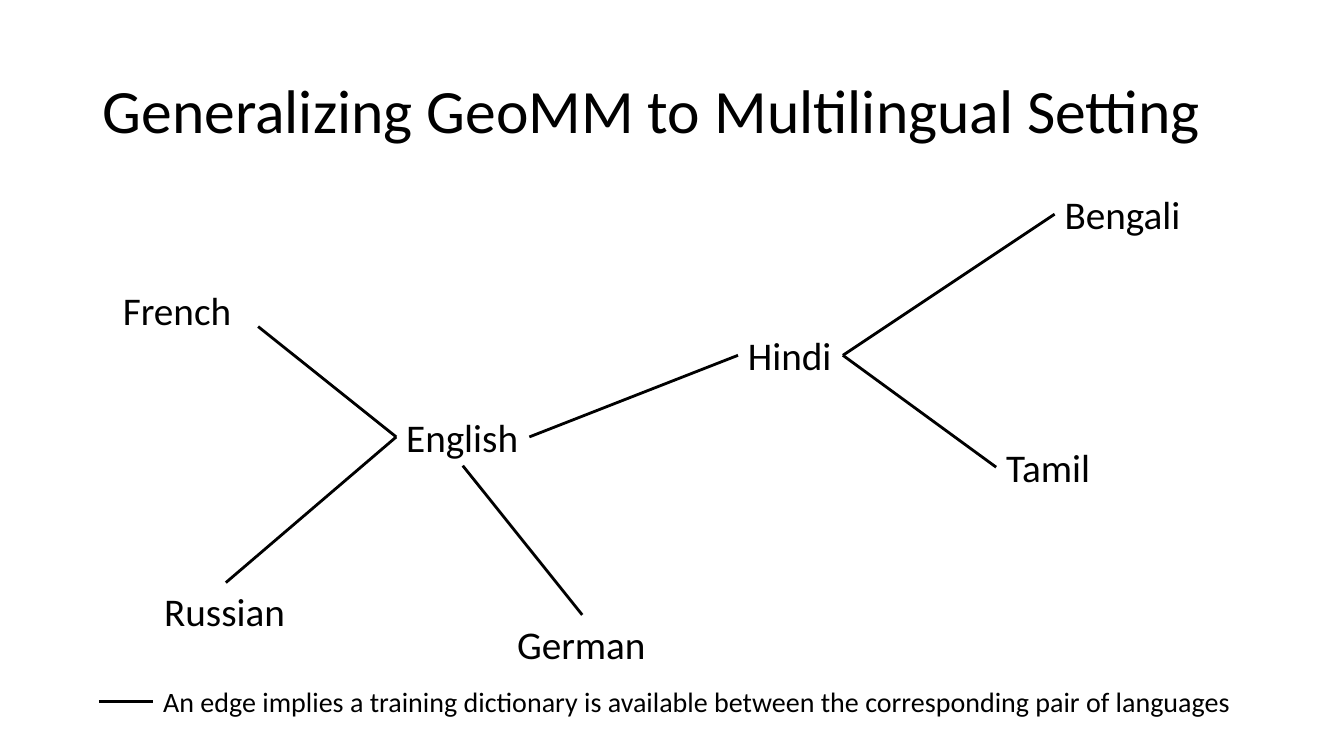
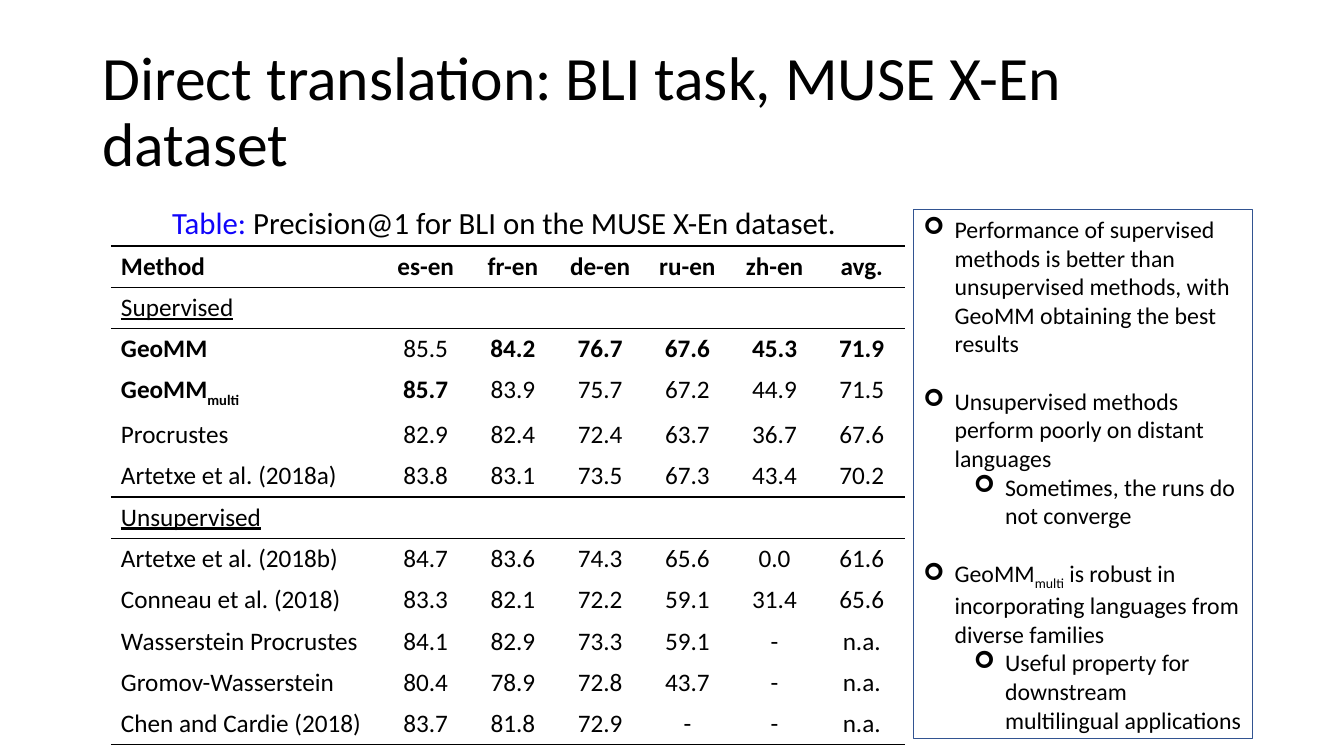
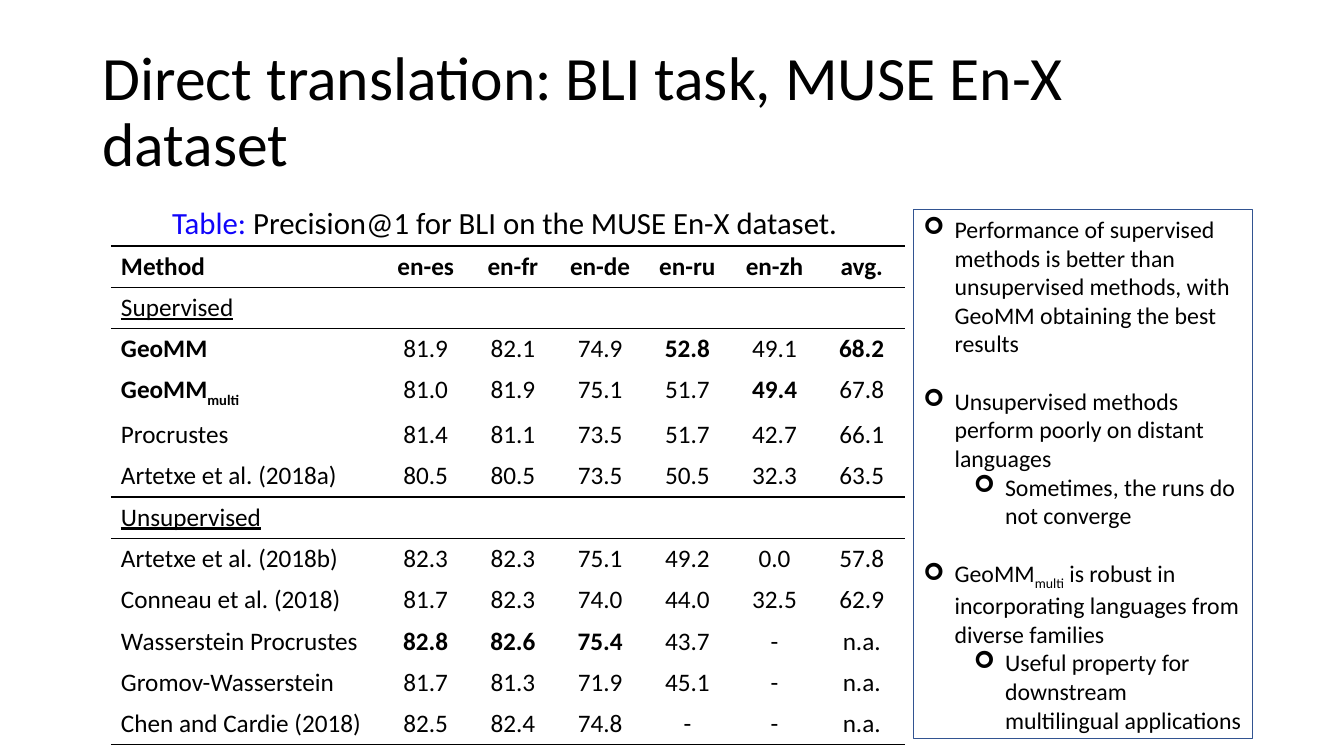
from lxml.etree import SubElement
from pptx import Presentation
from pptx.dml.color import RGBColor
from pptx.enum.shapes import MSO_CONNECTOR, MSO_SHAPE
from pptx.enum.text import MSO_ANCHOR, MSO_AUTO_SIZE, PP_ALIGN
from pptx.oxml import parse_xml
from pptx.oxml.ns import nsdecls, qn
from pptx.util import Inches, Pt

BLACK = RGBColor(0x00, 0x00, 0x00)
CAPTION_BLUE = RGBColor(0x10, 0x04, 0xFA)
FRAME_BLUE = RGBColor(0x32, 0x54, 0x91)
FONT = "Calibri"
NO_GRID_STYLE = "{2D5ABB26-0587-4C30-8999-92F81FD0307C}"
TOP, LEFT, BOTTOM, RIGHT = range(4)

TITLES = [
    "Generalizing GeoMM to Multilingual Setting",
    "Direct translation: BLI task, MUSE X-En dataset",
    "Direct translation: BLI task, MUSE En-X dataset",
]


def write(paragraph, text, size, bold=False):
    paragraph.font.name = FONT
    paragraph.font.size = Pt(size)
    paragraph.font.bold = bold
    paragraph.font.color.rgb = BLACK
    for index, piece in enumerate(text.split("_")):
        run = paragraph.add_run()
        run.text = piece
        if index % 2:
            run._r.get_or_add_rPr().set("baseline", "-25000")


def add_label(slide, text, size, left, top, width, height):
    label = slide.shapes.add_textbox(Inches(left), Inches(top), Inches(width), Inches(height))
    label.text_frame.word_wrap = False
    label.text_frame.auto_size = MSO_AUTO_SIZE.SHAPE_TO_FIT_TEXT
    write(label.text_frame.paragraphs[0], text, size)
    return label


presentation = Presentation()
presentation.slide_width = Inches(13.33)
presentation.slide_height = Inches(7.5)

slides = []
for title in TITLES:
    slide = presentation.slides.add_slide(presentation.slide_layouts[6])
    title_box = slide.shapes.add_textbox(Inches(0.92), Inches(0.4), Inches(11.5), Inches(1.45))
    title_box.text_frame.word_wrap = True
    title_box.text_frame.vertical_anchor = MSO_ANCHOR.MIDDLE
    title_paragraph = title_box.text_frame.paragraphs[0]
    title_paragraph.line_spacing = 0.9
    write(title_paragraph, title, 44)
    slides.append(slide)

graph_slide, *result_slides = slides

languages = {}
for name, left, top, width in [
    ("English", 3.93, 4.05, 1.32),
    ("Hindi", 7.32, 3.24, 1.04),
    ("French", 1.12, 2.79, 1.29),
    ("Russian", 1.53, 5.78, 1.42),
    ("German", 5.03, 6.1, 1.49),
    ("Tamil", 9.88, 4.35, 1.04),
    ("Bengali", 10.46, 1.84, 1.36),
]:
    languages[name] = add_label(graph_slide, name, 28, left, top, width, 0.57)

edges = []
for start, start_side, end, end_side in [
    ("English", RIGHT, "Hindi", LEFT),
    ("Russian", TOP, "English", LEFT),
    ("German", TOP, "English", BOTTOM),
    ("Hindi", RIGHT, "Bengali", LEFT),
    ("Hindi", RIGHT, "Tamil", LEFT),
]:
    edge = graph_slide.shapes.add_connector(MSO_CONNECTOR.STRAIGHT, 0, 0, 0, 0)
    edge.begin_connect(languages[start], start_side)
    edge.end_connect(languages[end], end_side)
    edges.append(edge)

french_edge = graph_slide.shapes.add_connector(
    MSO_CONNECTOR.STRAIGHT, Inches(2.56), Inches(3.24), Inches(3.93), Inches(4.33))
french_edge.end_connect(languages["English"], LEFT)
legend_edge = graph_slide.shapes.add_connector(
    MSO_CONNECTOR.STRAIGHT, Inches(0.98), Inches(6.96), Inches(1.52), Inches(6.96))
for edge in edges + [french_edge, legend_edge]:
    edge.line.color.rgb = BLACK
    edge.line.width = Pt(2)
    SubElement(edge._element.spPr, qn("a:effectLst"))

add_label(
    graph_slide,
    "An edge implies a training dictionary is available between the corresponding pair of languages",
    20, 1.52, 6.74, 10.89, 0.44)

METHODS = [
    "*Method", "Supervised", "*GeoMM", "*GeoMM_multi", "Procrustes", "Artetxe et al. (2018a)",
    "Unsupervised", "Artetxe et al. (2018b)", "Conneau et al. (2018)",
    "Wasserstein Procrustes", "Gromov-Wasserstein", "Chen and Cardie (2018)",
]
SECTIONS = ("Supervised", "Unsupervised")
RULED_EDGES = (0, 1, 6, 12)
SCORES = {
    "X-En": [
        "*es-en *fr-en *de-en *ru-en *zh-en *avg.",
        "",
        "85.5 *84.2 *76.7 *67.6 *45.3 *71.9",
        "*85.7 83.9 75.7 67.2 44.9 71.5",
        "82.9 82.4 72.4 63.7 36.7 67.6",
        "83.8 83.1 73.5 67.3 43.4 70.2",
        "",
        "84.7 83.6 74.3 65.6 0.0 61.6",
        "83.3 82.1 72.2 59.1 31.4 65.6",
        "84.1 82.9 73.3 59.1 - n.a.",
        "80.4 78.9 72.8 43.7 - n.a.",
        "83.7 81.8 72.9 - - n.a.",
    ],
    "En-X": [
        "*en-es *en-fr *en-de *en-ru *en-zh *avg.",
        "",
        "81.9 82.1 74.9 *52.8 49.1 *68.2",
        "81.0 81.9 75.1 51.7 *49.4 67.8",
        "81.4 81.1 73.5 51.7 42.7 66.1",
        "80.5 80.5 73.5 50.5 32.3 63.5",
        "",
        "82.3 82.3 75.1 49.2 0.0 57.8",
        "81.7 82.3 74.0 44.0 32.5 62.9",
        "*82.8 *82.6 *75.4 43.7 - n.a.",
        "81.7 81.3 71.9 45.1 - n.a.",
        "82.5 82.4 74.8 - - n.a.",
    ],
}
FINDINGS = [
    (0, "Performance of supervised methods is better than unsupervised methods, "
        "with GeoMM obtaining the best results"),
    (0, "Unsupervised methods perform poorly on distant languages"),
    (1, "Sometimes, the runs do not converge"),
    (0, "GeoMM_multi_ is robust in incorporating languages from diverse families"),
    (1, "Useful property for downstream multilingual applications"),
]
TABLE_WIDTH, METHOD_WIDTH, ROW_HEIGHT = 7.88, 2.69, 0.41

for slide, (direction, scores) in zip(result_slides, SCORES.items()):
    table = slide.shapes.add_table(
        len(METHODS), 7, Inches(1.1), Inches(2.44),
        Inches(TABLE_WIDTH), Inches(ROW_HEIGHT * len(METHODS))).table
    table.first_row = False
    table.horz_banding = False
    table._tbl.tblPr.find(qn("a:tableStyleId")).text = NO_GRID_STYLE
    for column_index, column in enumerate(table.columns):
        column.width = Inches((TABLE_WIDTH - METHOD_WIDTH) / 6 if column_index else METHOD_WIDTH)

    for row_index, (method, row_scores) in enumerate(zip(METHODS, scores)):
        table.rows[row_index].height = Inches(ROW_HEIGHT)
        values = [method] + (row_scores.split() or [""] * 6)
        for column_index, value in enumerate(values):
            cell = table.cell(row_index, column_index)
            cell.fill.background()
            paragraph = cell.text_frame.paragraphs[0]
            if value:
                write(paragraph, value.lstrip("*"), 18, value.startswith("*"))
            if value in SECTIONS:
                paragraph.font.underline = True
            if column_index:
                paragraph.alignment = PP_ALIGN.CENTER
            for tag, edge_index in (("lnB", row_index + 1), ("lnT", row_index)):
                if edge_index in RULED_EDGES:
                    cell._tc.get_or_add_tcPr().insert(0, parse_xml(
                        f'<a:{tag} {nsdecls("a")} w="{Pt(1)}"><a:solidFill>'
                        f'<a:srgbClr val="{BLACK}"/></a:solidFill></a:{tag}>'))

    caption = add_label(
        slide, "Table:", 22, 1.61, 1.97, 6.86, 0.47).text_frame.paragraphs[0]
    caption.runs[0].font.color.rgb = CAPTION_BLUE
    caption.add_run().text = f" Precision@1 for BLI on the MUSE {direction} dataset."

    findings_box = slide.shapes.add_shape(
        MSO_SHAPE.RECTANGLE, Inches(9.06), Inches(2.08), Inches(3.36), Inches(5.25))
    findings_box.shadow.inherit = False
    findings_box.fill.background()
    findings_box.line.color.rgb = FRAME_BLUE
    findings_box.line.width = Pt(0.75)
    frame = findings_box.text_frame
    frame.word_wrap = True
    frame.vertical_anchor = MSO_ANCHOR.TOP
    for index, (level, finding) in enumerate(FINDINGS):
        paragraph = frame.add_paragraph() if index else frame.paragraphs[0]
        paragraph.alignment = PP_ALIGN.LEFT
        paragraph.level = level
        if index and level == 0:
            paragraph.space_before = Pt(20.75)
        properties = paragraph._p.get_or_add_pPr()
        properties.set("marL", str(Inches(0.31 + 0.5 * level)))
        properties.set("indent", str(Inches(-0.31)))
        SubElement(properties, qn("a:buFont"), typeface="Wingdings")
        SubElement(properties, qn("a:buChar"), char="➢")
        write(paragraph, finding, 17)

presentation.save("out.pptx")
